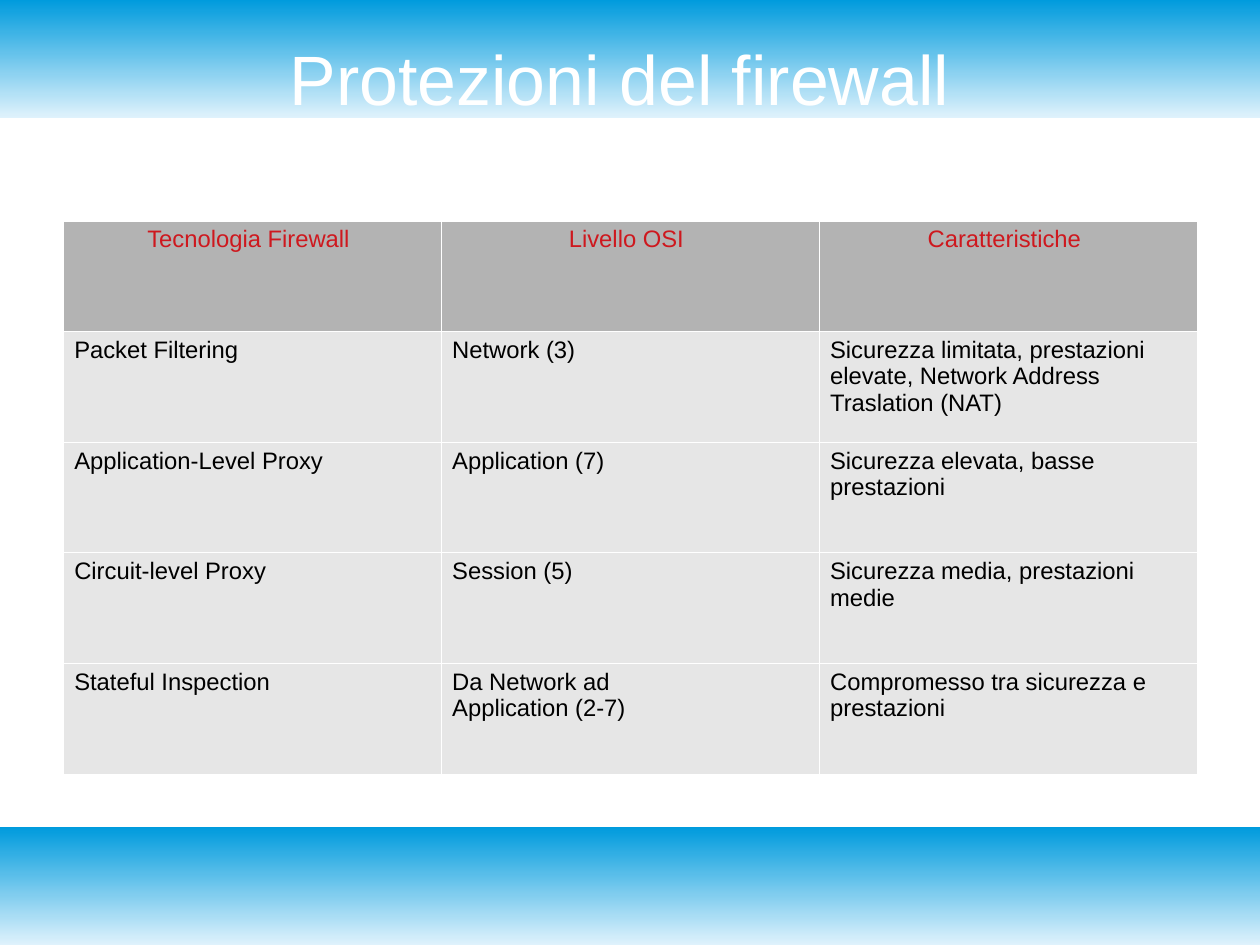
from lxml import etree
from pptx import Presentation
from pptx.dml.color import RGBColor
from pptx.enum.shapes import MSO_SHAPE
from pptx.enum.text import MSO_ANCHOR, MSO_AUTO_SIZE, PP_ALIGN
from pptx.oxml.ns import qn
from pptx.util import Inches, Pt

RECTANGLE = MSO_SHAPE.RECTANGLE
MIDDLE, TOP = MSO_ANCHOR.MIDDLE, MSO_ANCHOR.TOP
CENTER, LEFT = PP_ALIGN.CENTER, PP_ALIGN.LEFT
FIT_SHAPE = MSO_AUTO_SIZE.SHAPE_TO_FIT_TEXT

# Content
TITLE = "Protezioni del firewall "
HEADERS = ("Tecnologia Firewall ", "Livello OSI ", "Caratteristiche ")
FIREWALLS = [
    ("Packet Filtering", "Network (3)",
     "Sicurezza limitata, prestazioni\nelevate, Network Address\nTraslation (NAT)"),
    ("Application-Level Proxy", "Application (7)",
     "Sicurezza elevata, basse prestazioni"),
    ("Circuit-level Proxy", "Session (5)",
     "Sicurezza media, prestazioni\nmedie"),
    ("Stateful Inspection", "Da Network ad\nApplication (2-7)",
     "Compromesso tra sicurezza e\nprestazioni"),
]

# Style
FONT = "Arial"
WHITE = RGBColor(0xFF, 0xFF, 0xFF)
BLACK = RGBColor(0x00, 0x00, 0x00)
RED = RGBColor(0xCE, 0x18, 0x1E)
HEADER_GREY = RGBColor(0xB3, 0xB3, 0xB3)
BODY_GREY = RGBColor(0xE6, 0xE6, 0xE6)
PALE_BLUE = RGBColor(0xDF, 0xF2, 0xFC)
BLUE = RGBColor(0x00, 0x9B, 0xDD)

# Layout: the page is 28 by 21 cm
CM_PER_INCH = 2.54
SLIDE_W, SLIDE_H = Inches(28 / CM_PER_INCH), Inches(21 / CM_PER_INCH)
BAND_H = Inches(1.03)
MARGIN, CONTENT_W = Inches(0.55), Inches(9.92)
TABLE_TOP, TABLE_H = Inches(1.93), Inches(4.84)


def format_text(frame, size, color, align):
    for paragraph in frame.paragraphs:
        paragraph.alignment = align
        for run in paragraph.runs:
            run.font.name = FONT
            run.font.size = Pt(size)
            run.font.bold = False
            run.font.color.rgb = color


def add_borders(cell):
    properties = cell._tc.get_or_add_tcPr()
    for index, side in enumerate(("a:lnL", "a:lnR", "a:lnT", "a:lnB")):
        border = etree.Element(qn(side), w=str(Pt(0.06)))
        fill = etree.SubElement(border, qn("a:solidFill"))
        etree.SubElement(fill, qn("a:srgbClr"), val=str(WHITE))
        properties.insert(index, border)


prs = Presentation()
prs.slide_width, prs.slide_height = SLIDE_W, SLIDE_H
slide = prs.slides.add_slide(prs.slide_layouts[5])

# Title
title = slide.shapes.title
title.left, title.top = MARGIN, Inches(0.33)
title.width, title.height = CONTENT_W, Inches(0.7)
heading = title.text_frame
heading.text = TITLE
heading.margin_left = heading.margin_right = 0
heading.margin_top = heading.margin_bottom = 0
heading.vertical_anchor = MIDDLE
heading.auto_size = FIT_SHAPE
format_text(heading, 44, WHITE, CENTER)

# Gradient bands at the top and bottom edges, behind the title
for band_top in (0, SLIDE_H - BAND_H):
    band = slide.shapes.add_shape(RECTANGLE, 0, band_top, SLIDE_W, BAND_H)
    band.shadow.inherit = False
    band.line.fill.background()
    band.fill.gradient()
    band.fill.gradient_angle = 90
    for stop, color in zip(band.fill.gradient_stops, (PALE_BLUE, BLUE)):
        stop.color.rgb = color
    title.element.addprevious(band.element)

# Firewall table
rows = [HEADERS] + FIREWALLS
table = slide.shapes.add_table(len(rows), len(HEADERS), MARGIN, TABLE_TOP,
                               CONTENT_W, TABLE_H).table
table.first_row = table.horz_banding = False
for r, row in enumerate(rows):
    background, color, align = (
        (HEADER_GREY, RED, CENTER) if r == 0 else (BODY_GREY, BLACK, LEFT))
    for c, text in enumerate(row):
        cell = table.cell(r, c)
        cell.text_frame.text = text
        cell.vertical_anchor = TOP
        cell.fill.solid()
        cell.fill.fore_color.rgb = background
        add_borders(cell)
        format_text(cell.text_frame, 15, color, align)

prs.save("out.pptx")
